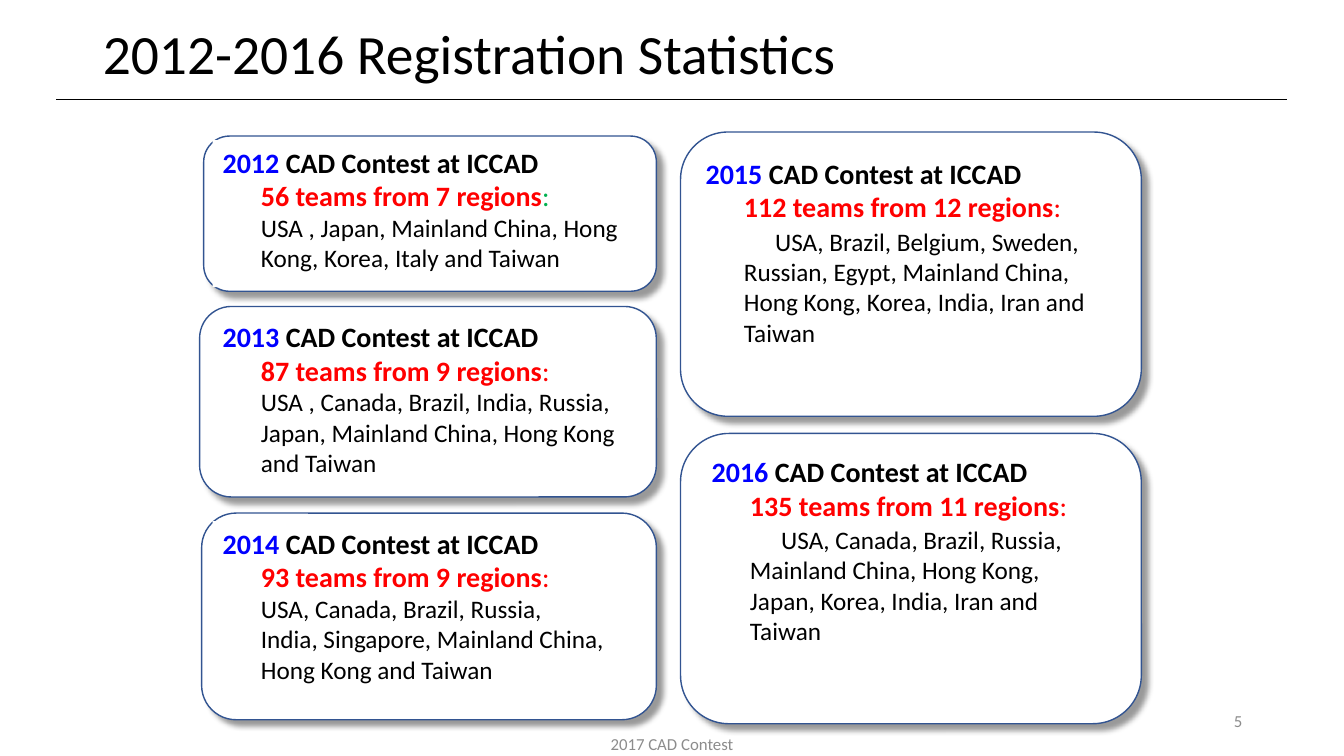
from lxml import etree
from pptx import Presentation
from pptx.dml.color import RGBColor
from pptx.enum import shapes, text
from pptx.oxml.ns import qn
from pptx.util import Inches, Pt

BLACK = RGBColor(0, 0, 0)
WHITE = RGBColor(255, 255, 255)
BLUE = RGBColor(0, 0, 255)
RED = RGBColor(255, 0, 0)
GREEN = RGBColor(0x00, 0xB0, 0x50)
OUTLINE = RGBColor(0x32, 0x54, 0x91)
GRAY = RGBColor(0x8C, 0x8C, 0x8C)
FONT = "Calibri"
HANG = 0.38

TITLE = "2012-2016 Registration Statistics"
# year, teams, colon colour, regions, first-line indent, card box, text box
CONTESTS = [
    ("2012", "56 teams from 7 regions", GREEN,
     "USA , Japan, Mainland China, Hong Kong, Korea, Italy and Taiwan",
     0, (2.02, 1.35, 4.49, 1.54), (2.11, 1.39, 4.24, 1.46)),
    ("2013", "87 teams from 9 regions", RED,
     "USA , Canada, Brazil, India, Russia, Japan, Mainland China, Hong Kong and Taiwan",
     0, (1.98, 3.04, 4.53, 1.89), (2.11, 3.12, 4.24, 1.65)),
    ("2014", "93 teams from 9 regions", RED,
     "USA, Canada, Brazil, Russia, \vIndia, Singapore, Mainland China, Hong Kong and Taiwan",
     0, (2, 5.09, 4.51, 2.05), (2.11, 5.17, 4.24, 1.81)),
    ("2015", "112 teams from 12 regions", RED,
     "USA, Brazil, Belgium, Sweden, Russian, Egypt, Mainland China, Hong Kong, "
     "Korea, India, Iran and Taiwan",
     0.31, (6.75, 1.31, 4.57, 2.82), (6.9, 1.5, 4.02, 2.28)),
    ("2016", "135 teams from 11 regions", RED,
     "USA, Canada, Brazil, Russia, Mainland China, Hong Kong, Japan, Korea, India, "
     "Iran and Taiwan",
     0.31, (6.75, 4.3, 4.57, 2.88), (6.96, 4.46, 4.02, 2.28)),
]
FOOTERS = [
    ("2017 CAD Contest", text.PP_ALIGN.CENTER, (5.07, 7.18, 3.19, 0.4)),
    ("5", text.PP_ALIGN.RIGHT, (9.42, 6.95, 3, 0.4)),
]


def inches(box):
    return [Inches(v) for v in box]


def write(p, words, size, color, bold=False):
    """Add words to p, turning each vertical tab into a line break."""
    for i, part in enumerate(words.split("\v")):
        if i:
            p.add_line_break()
        r = p.add_run()
        r.text = part
        r.font.color.rgb = color
        for name, value in {"name": FONT, "size": Pt(size), "bold": bold}.items():
            setattr(r.font, name, value)


def indent(p, left, first=0):
    pPr = p._p.get_or_add_pPr()
    pPr.set("marL", str(Inches(left)))
    pPr.set("indent", str(Inches(first)))


def add_shadow(sp):
    effects = etree.SubElement(sp._element.spPr, qn("a:effectLst"))
    shadow = etree.SubElement(effects, qn("a:outerShdw"), blurRad=str(Pt(4)),
                              dist=str(Pt(6)), dir="2700000", algn="tl", rotWithShape="0")
    color = etree.SubElement(shadow, qn("a:srgbClr"), val=str(BLACK))
    etree.SubElement(color, qn("a:alpha"), val="40000")


def add_card(slide, box):
    sp = slide.shapes.add_shape(shapes.MSO_SHAPE.ROUNDED_RECTANGLE, *inches(box))
    sp.fill.solid()
    sp.fill.fore_color.rgb = WHITE
    sp.line.color.rgb = OUTLINE
    sp.line.width = Pt(1)
    add_shadow(sp)


def add_contest(slide, year, teams, colon_color, regions, first, box):
    sp = slide.shapes.add_textbox(*inches(box))
    sp.fill.solid()
    sp.fill.fore_color.rgb = WHITE
    tf = sp.text_frame
    tf.word_wrap = True
    p = tf.paragraphs[0]
    indent(p, HANG, -HANG)
    write(p, year, 20, BLUE, True)
    write(p, " CAD Contest at ICCAD", 20, BLACK, True)
    p = tf.add_paragraph()
    indent(p, HANG)
    write(p, teams, 20, RED, True)
    write(p, ":", 20, colon_color)
    p = tf.add_paragraph()
    indent(p, HANG, first)
    p.space_before = Pt(2 if first else 0)
    write(p, regions, 18, BLACK)


def main():
    prs = Presentation()
    prs.slide_width, prs.slide_height = Inches(13.33), Inches(7.5)
    slide = prs.slides.add_slide(prs.slide_layouts[5])

    title = slide.shapes.title
    title.left, title.top, title.width, title.height = inches((0.92, 0.21, 11.5, 0.71))
    title.text_frame.vertical_anchor = text.MSO_ANCHOR.MIDDLE
    p = title.text_frame.paragraphs[0]
    p.alignment = text.PP_ALIGN.LEFT
    p.line_spacing = 0.9
    write(p, TITLE, 39.6, BLACK)

    rule = slide.shapes.add_connector(shapes.MSO_CONNECTOR.STRAIGHT,
                                      *inches((0.56, 0.99, 12.76, 0.99)))
    rule.line.color.rgb = BLACK
    rule.line.width = Pt(0.75)
    etree.SubElement(rule._element.spPr, qn("a:effectLst"))

    for *content, card_box, text_box in CONTESTS:
        add_card(slide, card_box)
        add_contest(slide, *content, text_box)

    for words, align, box in FOOTERS:
        tf = slide.shapes.add_textbox(*inches(box)).text_frame
        tf.word_wrap = True
        tf.vertical_anchor = text.MSO_ANCHOR.MIDDLE
        tf.paragraphs[0].alignment = align
        write(tf.paragraphs[0], words, 12, GRAY)

    prs.save("out.pptx")


if __name__ == "__main__":
    main()
